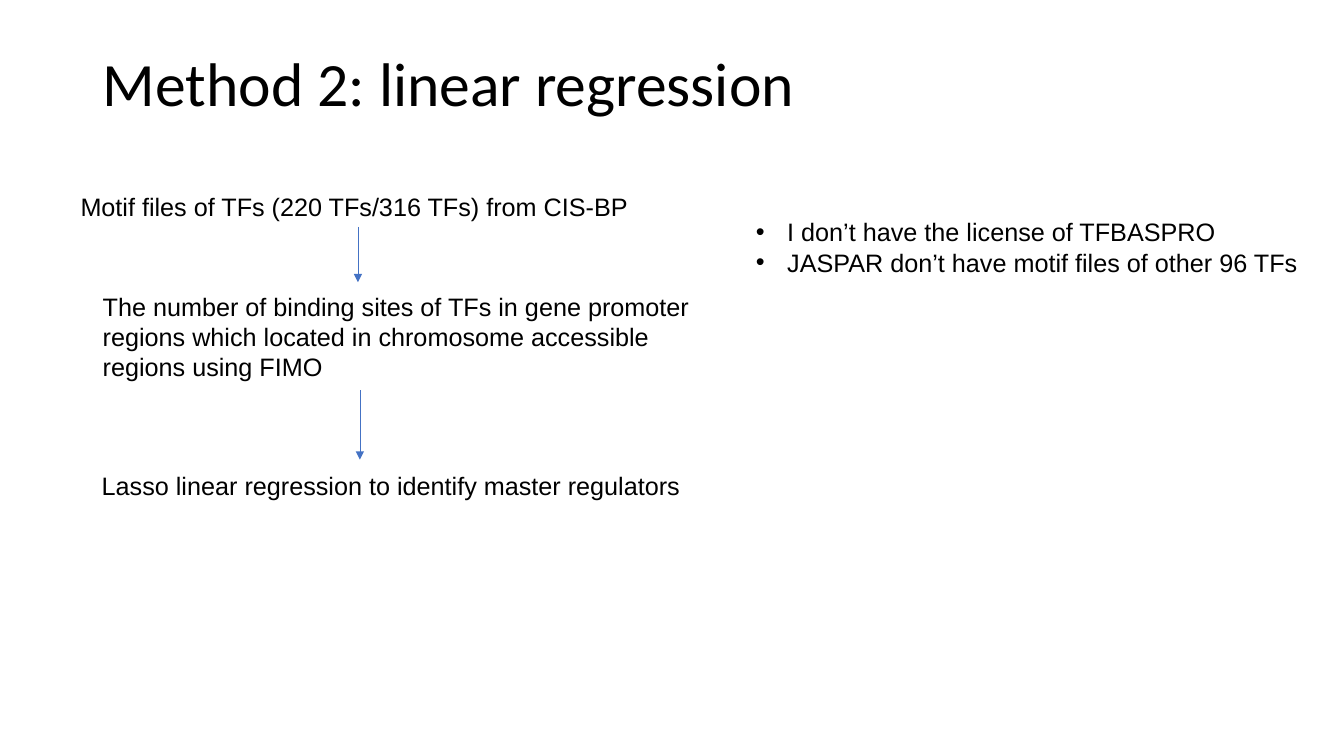
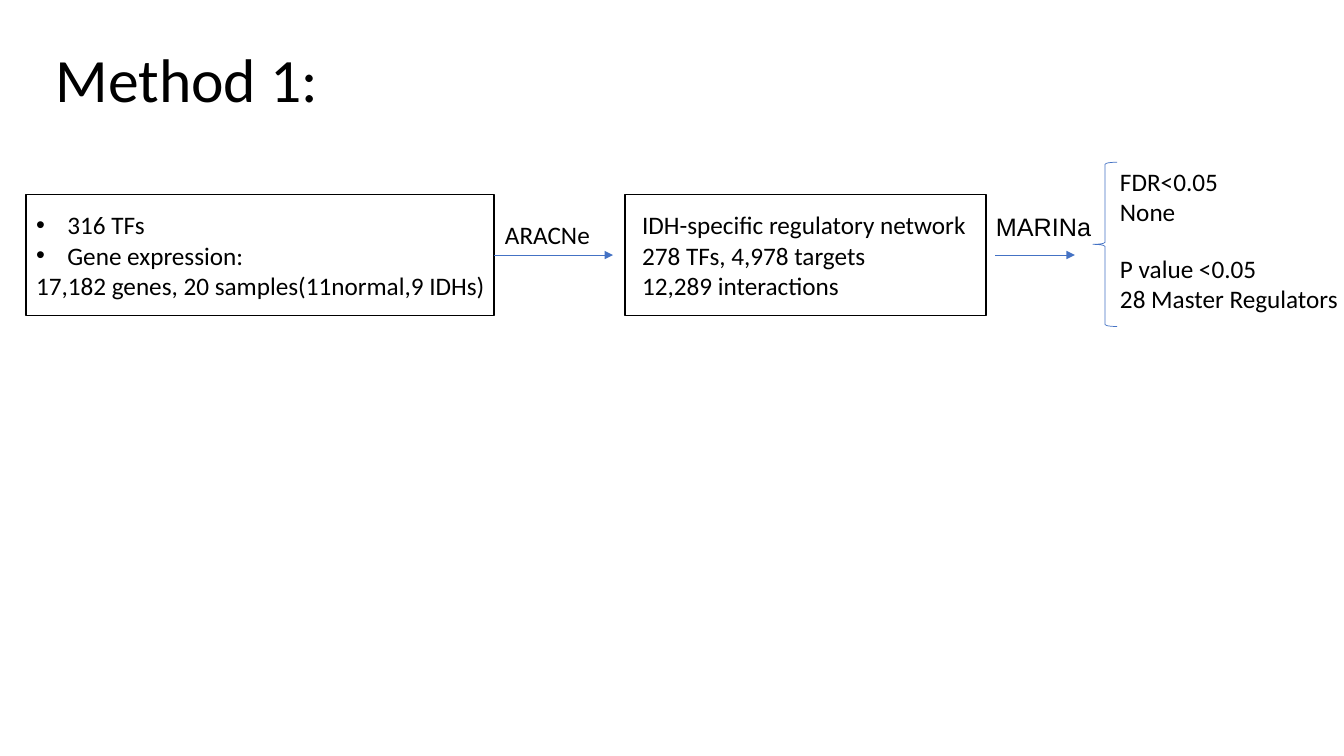
"""Build two slides on methods for finding master regulators."""
from lxml.etree import SubElement as Sub
from pptx import Presentation
from pptx.dml.color import RGBColor as Rgb
from pptx.enum.shapes import MSO_CONNECTOR as Conn, MSO_SHAPE as Geo
from pptx.enum.text import MSO_ANCHOR as Anchor, MSO_AUTO_SIZE as Auto, PP_ALIGN as Align
from pptx.oxml.ns import qn
from pptx.util import Inches, Pt

HUES = {"ink": "000000", "paper": "FFFFFF", "blue": "4472C4"}
SIZES = {"title": 44, "text": 18}
HEIGHTS = {1: 0.4, 2: 0.71, 3: 1.01}
BULLET = "• "

SLIDES = [
    {
        "title": ("Method 2: linear regression", (0.92, 0.4, 11.5, 0.92)),
        "boxes": [],
        "braces": [],
        "texts": [
            ("Arial", (0.7, 1.85, 5.69), ["Motif files of TFs (220 TFs/316 TFs) from CIS-BP"]),
            ("Arial", (7.4, 2.1, 5.63), [
                "• I don’t have the license of TFBASPRO",
                "• JASPAR don’t have motif files of other 96 TFs"]),
            ("Arial", (0.92, 2.84, 6.07), [
                "The number of binding sites of TFs in gene promoter",
                "regions which located in chromosome accessible",
                "regions using FIMO"]),
            ("Arial", (0.91, 4.62, 6.08), [
                "Lasso linear regression to identify master regulators"]),
        ],
        "arrows": [(3.55, 2.25, 3.55, 2.8, None), (3.57, 3.87, 3.57, 4.56, None)],
    },
    {
        "title": ("Method 1:", (0.45, 0.39, 11.5, 0.86)),
        "boxes": [(0.26, 1.93, 4.64, 1.2), (6.2, 1.93, 3.58, 1.2)],
        "braces": [(10.84, 1.61, 0.24, 1.63)],
        "texts": [
            ("Calibri", (0.26, 2.03, 4.82), [
                "• 316 TFs",
                "• Gene expression:",
                "17,182 genes, 20 samples(11normal,9 IDHs)"]),
            ("Calibri", (4.91, 2.13, 1.05), ["ARACNe"]),
            ("Calibri", (6.27, 2.03, 3.45), [
                "IDH-specific regulatory network",
                "278 TFs, 4,978 targets",
                "12,289 interactions"]),
            ("Arial", (9.78, 2.05, 1.16), ["MARINa"]),
            ("Calibri", (11.01, 1.6, 1.18), ["FDR<0.05", "None"]),
            ("Calibri", (11.01, 2.46, 2.38), ["P value <0.05", "28 Master Regulators"]),
        ],
        "arrows": [(4.9, 2.53, 6.08, 2.53, 0), (9.87, 2.53, 10.66, 2.53, None)],
    },
]


def hue(name):
    return Rgb.from_string(HUES[name])


def inch(nums):
    return [Inches(num) for num in nums]


def style(font, face, size):
    for key, val in {"name": face, "size": Pt(SIZES[size])}.items():
        setattr(font, key, val)
    font.color.rgb = hue("ink")


def add_title(slide, words, place):
    title = slide.shapes.title
    for key, val in zip(("left", "top", "width", "height"), inch(place)):
        setattr(title, key, val)
    frame = title.text_frame
    for key, val in {"text": words, "auto_size": Auto.NONE,
                     "vertical_anchor": Anchor.MIDDLE}.items():
        setattr(frame, key, val)
    para = frame.paragraphs[0]
    for key, val in {"alignment": Align.LEFT, "line_spacing": 0.9}.items():
        setattr(para, key, val)
    style(para.runs[0].font, "Calibri", "title")


def add_bullet(para):
    props = para._p.get_or_add_pPr()
    props.set("marL", str(Inches(0.31)))
    props.set("indent", str(-Inches(0.31)))
    Sub(props, qn("a:buFont"), typeface="Arial")
    Sub(props, qn("a:buChar"), char=BULLET.strip())


def add_text(slide, face, place, lines):
    box = slide.shapes.add_textbox(*inch((*place, HEIGHTS[len(lines)])))
    frame = box.text_frame
    frame.word_wrap = False
    for num, line in enumerate(lines):
        para = frame.add_paragraph() if num else frame.paragraphs[0]
        para.alignment = Align.LEFT
        if line.startswith(BULLET):
            add_bullet(para)
        run = para.add_run()
        run.text = line.removeprefix(BULLET)
        style(run.font, face, "text")


def add_form(slide, kind, place, fill, line, width):
    form = slide.shapes.add_shape(kind, *inch(place))
    form.shadow.inherit = False
    if fill:
        form.fill.solid()
        form.fill.fore_color.rgb = hue(fill)
    else:
        form.fill.background()
    form.line.color.rgb = hue(line)
    form.line.width = Pt(width)
    return form


def add_arrow(slide, ends, start):
    arrow = slide.shapes.add_connector(Conn.STRAIGHT, *inch(ends))
    if start is not None:
        arrow.begin_connect(start, 3)
    arrow.line.color.rgb = hue("blue")
    arrow.line.width = Pt(0.5)
    Sub(arrow.line._get_or_add_ln(), qn("a:tailEnd"), type="triangle")
    Sub(arrow._element.spPr, qn("a:effectLst"))


def main():
    deck = Presentation()
    deck.slide_width, deck.slide_height = inch((13.33, 7.5))
    for data in SLIDES:
        slide = deck.slides.add_slide(deck.slide_layouts[5])
        boxes = [add_form(slide, Geo.RECTANGLE, place, "paper", "ink", 1)
                 for place in data["boxes"]]
        add_title(slide, *data["title"])
        for text in data["texts"]:
            add_text(slide, *text)
        for *ends, start in data["arrows"]:
            add_arrow(slide, ends, None if start is None else boxes[start])
        for place in data["braces"]:
            add_form(slide, Geo.LEFT_BRACE, place, None, "blue", 0.5)
    deck.save("out.pptx")


if __name__ == "__main__":
    main()
